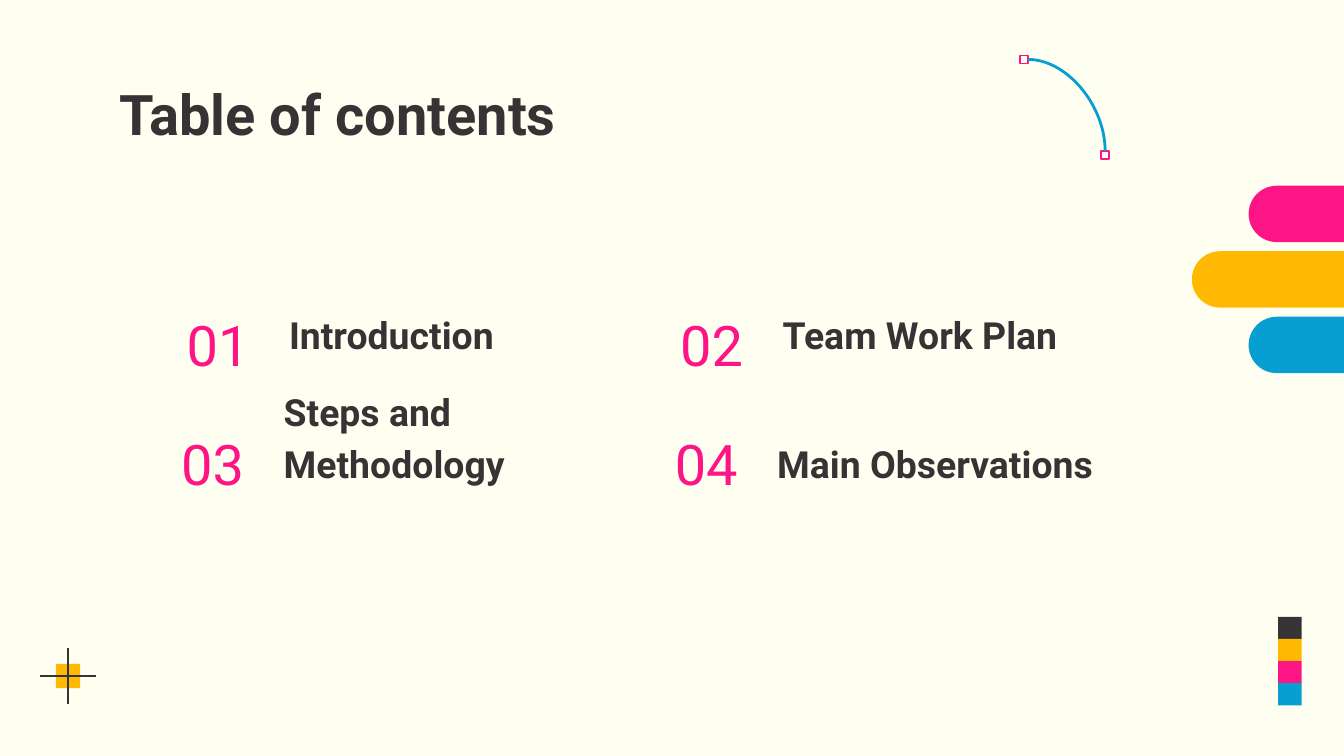
from lxml.etree import SubElement
from pptx import Presentation
from pptx.dml.color import RGBColor
from pptx.enum.shapes import MSO_CONNECTOR as Connector, MSO_SHAPE as Shape
from pptx.enum.text import MSO_ANCHOR as Anchor
from pptx.oxml.ns import qn
from pptx.util import Pt

COLORS = {
    "paper": "FFFFF1",
    "ink": "353334",
    "yellow": "FFB903",
    "pink": "FD1485",
    "blue": "079ED2",
}
FONT = "Roboto"


def color(name):
    """Return the palette colour with this name."""
    return RGBColor.from_string(COLORS[name])


def add_text(slide, text, left, top, width, height, size=20, ink="ink",
             bold=False, anchor=Anchor.BOTTOM, spacing=1.0):
    """Add a wrapped one-paragraph text box."""
    box = slide.shapes.add_textbox(Pt(left), Pt(top), Pt(width), Pt(height))
    frame = box.text_frame
    frame.word_wrap = True
    frame.vertical_anchor = anchor
    frame.margin_left = frame.margin_right = Pt(7.2)
    frame.margin_top = frame.margin_bottom = Pt(7.2)
    paragraph = frame.paragraphs[0]
    paragraph.line_spacing = spacing
    run = paragraph.add_run()
    run.text = text
    run.font.name = FONT
    run.font.size = Pt(size)
    run.font.bold = bold
    run.font.color.rgb = color(ink)


def add_block(slide, left, top, width, height, fill=None, line=None,
              kind=Shape.RECTANGLE):
    """Add a flat shape with an optional fill and outline."""
    shape = slide.shapes.add_shape(kind, Pt(left), Pt(top), Pt(width), Pt(height))
    shape.shadow.inherit = False
    if fill:
        shape.fill.solid()
        shape.fill.fore_color.rgb = color(fill)
    else:
        shape.fill.background()
    if line:
        shape.line.color.rgb = color(line)
        shape.line.width = Pt(0.75)
    else:
        shape.line.fill.background()
    return shape


def add_line(slide, start, end, ink, width, kind=Connector.STRAIGHT):
    """Add a connector without shadow between two points."""
    connector = slide.shapes.add_connector(
        kind, Pt(start[0]), Pt(start[1]), Pt(end[0]), Pt(end[1]))
    connector.line.color.rgb = color(ink)
    connector.line.width = Pt(width)
    SubElement(connector._element.spPr, qn("a:effectLst"))
    return connector


def add_crosshair(slide, left, top, size):
    """Draw a yellow square under two crossing lines."""
    middle_x, middle_y = left + size / 2, top + size / 2
    square = 13
    add_block(slide, middle_x - square / 2, middle_y - square / 2,
              square, square, "yellow")
    add_line(slide, (middle_x, top), (middle_x, top + size), "ink", 0.75)
    add_line(slide, (left, middle_y), (left + size, middle_y), "ink", 0.75)


def add_swatches(slide, left, top, width, height):
    """Stack one swatch of each accent colour."""
    names = ("ink", "yellow", "pink", "blue")
    step = height / len(names)
    for index, name in enumerate(names):
        add_block(slide, left, top + index * step, width, step, name)


def add_pills(slide, left, top, width, height):
    """Stack three pills, the middle one shifted to the left."""
    pitch, indent = 35.1, 30.4
    for index, name in enumerate(("pink", "yellow", "blue")):
        offset = 0 if name == "yellow" else indent
        pill = add_block(slide, left + offset, top + index * pitch, width, height,
                         name, kind=Shape.ROUNDED_RECTANGLE)
        pill.adjustments[0] = 0.5


def add_arc(slide, left, top, width, height):
    """Join two small handles with a quarter curve."""
    handle = 4.3
    start = add_block(slide, left, top, handle, handle, line="pink")
    end = add_block(slide, left + width - handle, top + height - handle,
                    handle, handle, line="pink")
    curve = add_line(slide, (left + handle, top + handle / 2),
                     (left + width - handle / 2, top + height - handle),
                     "blue", 1.5, Connector.CURVE)
    curve.begin_connect(start, 3)
    curve.end_connect(end, 0)
    curve._element.spPr.find(qn("a:prstGeom")).set("prst", "curvedConnector2")


def add_entry(slide, left, top, width, number, label, drop):
    """Place a chapter number with its label to the right."""
    number_width = 54.9
    add_text(slide, number, left, top, number_width, 50.4, size=30, ink="pink")
    add_text(slide, label, left + number_width, top + drop,
             width - number_width, 28.8, bold=True, spacing=1.15)


def add_contents(slide, left, top):
    """Lay out the four chapters in two columns and two rows."""
    column_pitch, row_pitch, row_shift = 264.4, 63.6, -2.9
    rows = (
        (10.8, (("Introduction", 249.3), ("Team Work Plan", 249.3))),
        (15.8, (("Steps and Methodology", 264.4), ("Main Observations", 249.3))),
    )
    for row, (drop, entries) in enumerate(rows):
        for column, (label, width) in enumerate(entries):
            number = f"{row * len(entries) + column + 1:02d}"
            add_entry(slide, left + column * column_pitch + row * row_shift,
                      top + row * row_pitch, width, number, label, drop)


def main():
    """Build and save the contents slide."""
    presentation = Presentation()
    presentation.slide_width, presentation.slide_height = Pt(720), Pt(405)
    slide = presentation.slides.add_slide(presentation.slide_layouts[6])
    slide.background.fill.solid()
    slide.background.fill.fore_color.rgb = color("paper")
    add_crosshair(slide, 21.5, 347.2, 30)
    add_swatches(slide, 684.7, 330.5, 12.7, 47.4)
    add_pills(slide, 638.5, 99.5, 118.8, 30.2)
    add_text(slide, "Table of contents", 56.9, 35.3, 607, 45.4, size=30,
             bold=True, anchor=Anchor.TOP)
    add_contents(slide, 92.9, 159.1)
    add_arc(slide, 546.5, 29.7, 47.7, 55.5)
    presentation.save("out.pptx")


if __name__ == "__main__":
    main()
